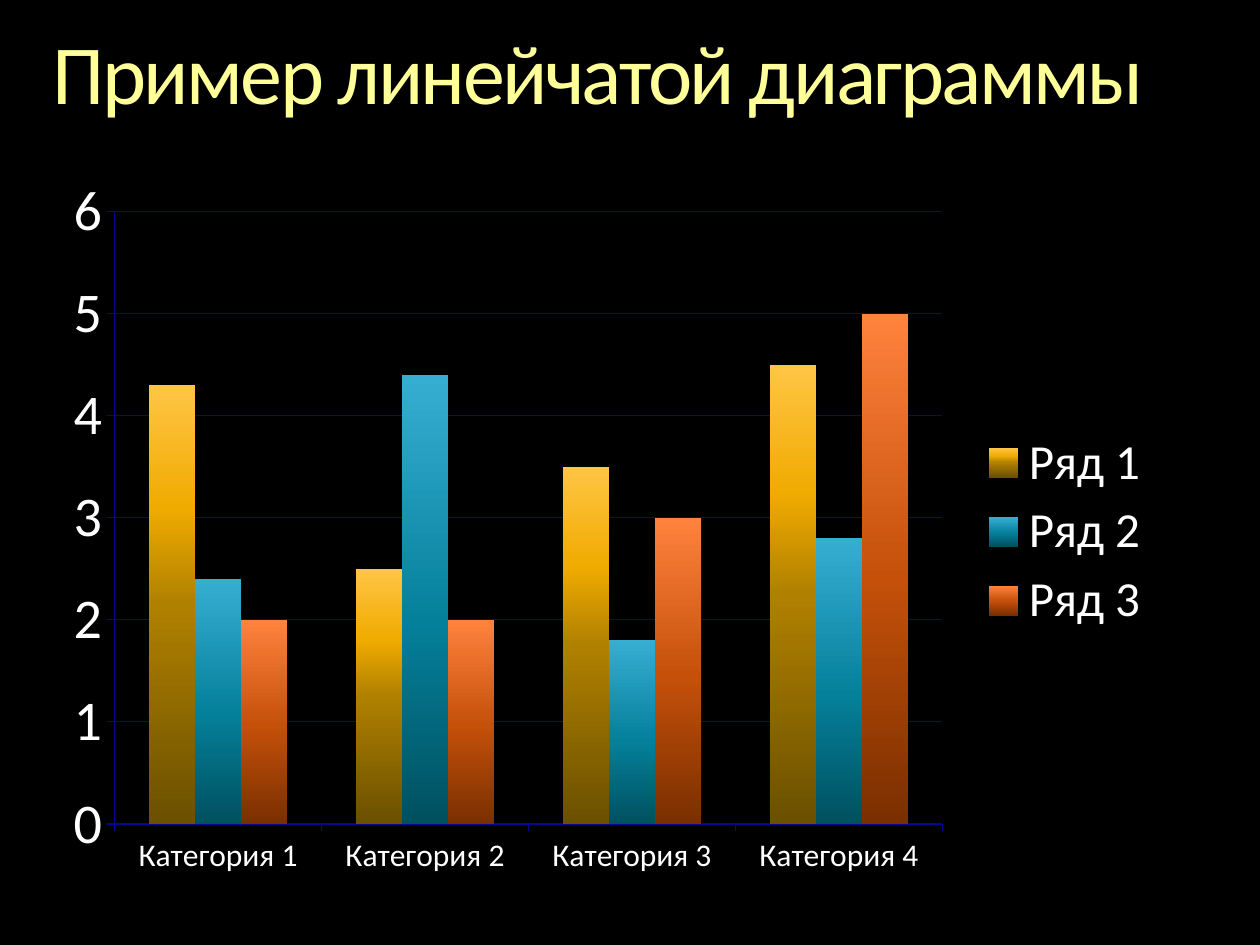
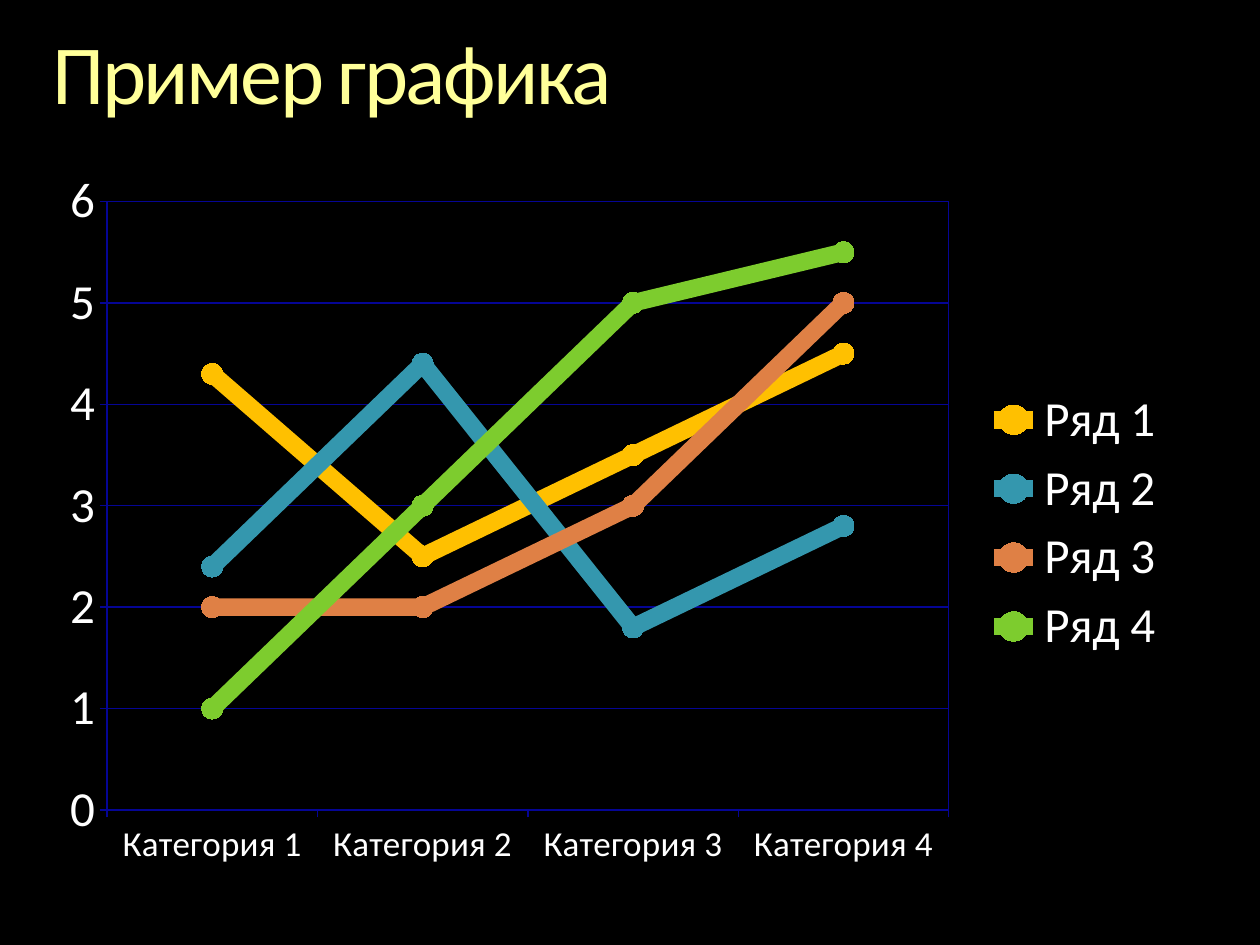
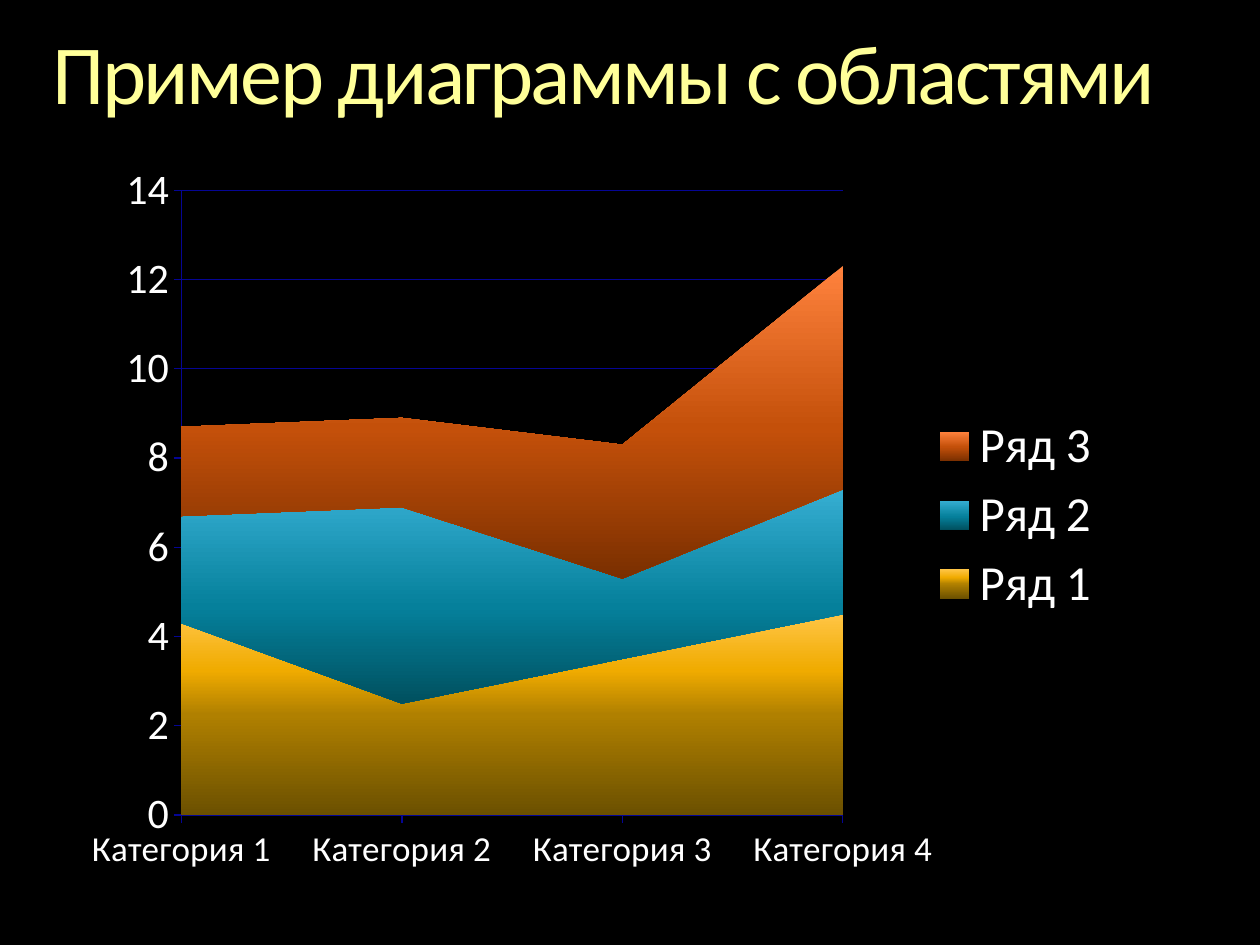
from copy import deepcopy
from dataclasses import dataclass

from pptx import Presentation
from pptx.chart.data import CategoryChartData
from pptx.dml.color import RGBColor
from pptx.enum.chart import XL_CHART_TYPE, XL_LEGEND_POSITION, XL_MARKER_STYLE, XL_TICK_MARK
from pptx.enum.text import MSO_ANCHOR, PP_ALIGN
from pptx.oxml import parse_xml
from pptx.oxml.ns import nsdecls, qn
from pptx.util import Inches, Pt

COLUMNS = XL_CHART_TYPE.COLUMN_CLUSTERED
LINES = XL_CHART_TYPE.LINE_MARKERS
AREAS = XL_CHART_TYPE.AREA_STACKED
LEGEND_RIGHT = XL_LEGEND_POSITION.RIGHT
CIRCLE = XL_MARKER_STYLE.CIRCLE
TICK_OUTSIDE = XL_TICK_MARK.OUTSIDE
TICK_NONE = XL_TICK_MARK.NONE
TITLE_ONLY = 5


@dataclass(frozen=True)
class Theme:
    """Colours, font and type sizes shared by the slides."""
    font: str = "Calibri"
    background: str = "000000"
    title: str = "FFFF99"
    text: str = "FFFFFF"
    grid: str = "050595"
    series: tuple = ("FFC000", "3497AE", "DF8045", "7DCC2E")
    gradients: tuple = (
        ((0, "FFC545"), (0.28, "F0AB00"), (0.5, "B08000"), (1, "6B5000")),
        ((0, "36AED2"), (0.55, "05809B"), (1, "00505F")),
        ((0, "FF823D"), (0.52, "C4500A"), (1, "7A2F00")),
    )
    title_size: int = 48
    base_size: int = 18
    legend_size: int = 28
    grid_width: float = 0.75
    line_width: int = 10
    marker_size: int = 12


@dataclass(frozen=True)
class ChartSpot:
    """Slide positions in inches of a chart, its plot and its legend."""
    frame: tuple
    plot: tuple
    legend: tuple


THEME = Theme()
TITLE_BOX = (0.42, 0.25, 9.17, 0.73)
CATEGORIES = [f"Категория {number}" for number in range(1, 5)]
ROWS = [(4.3, 2.5, 3.5, 4.5), (2.4, 4.4, 1.8, 2.8), (2, 2, 3, 5), (1, 3, 5, 5.5)]


def color(value):
    """Turn a hex string into a colour."""
    return RGBColor.from_string(value)


def style_master(presentation):
    """Set the background and the title box for every slide."""
    fill = presentation.slide_master.background.fill
    fill.solid()
    fill.fore_color.rgb = color(THEME.background)
    title = presentation.slide_layouts[TITLE_ONLY].placeholders[0]
    title.left, title.top, title.width, title.height = map(Inches, TITLE_BOX)


def add_titled_slide(presentation, text):
    """Add a slide whose title placeholder holds the text."""
    slide = presentation.slides.add_slide(presentation.slide_layouts[TITLE_ONLY])
    frame = slide.shapes.title.text_frame
    frame.margin_left = frame.margin_right = frame.margin_top = frame.margin_bottom = 0
    frame.vertical_anchor = MSO_ANCHOR.TOP
    frame.word_wrap = True
    paragraph = frame.paragraphs[0]
    paragraph.alignment = PP_ALIGN.LEFT
    paragraph.line_spacing = 0.9
    run = paragraph.add_run()
    run.text = text
    run.font.name = THEME.font
    run.font.size = Pt(THEME.title_size)
    run.font.color.rgb = color(THEME.title)
    run._r.get_or_add_rPr().set("spc", "-150")
    return slide


def place(element, index, frame, box, target=""):
    """Fix a chart part at a slide position, as shares of the chart frame."""
    for layout in element.findall(qn("c:layout")):
        element.remove(layout)
    left, top, width, height = frame
    shares = [(box[0] - left) / width, (box[1] - top) / height]
    shares += [length / whole for length, whole in zip(box[2:], (width, height))]
    modes = '<c:xMode val="edge"/><c:yMode val="edge"/>'
    sizes = "".join(f'<c:{key} val="{share:.4f}"/>' for key, share in zip("xywh", shares))
    element.insert(index, parse_xml(
        f'<c:layout {nsdecls("c")}><c:manualLayout>{target}{modes}{sizes}'
        "</c:manualLayout></c:layout>"))


def style_line(line, value, width):
    """Give a line a colour and a width."""
    line.color.rgb = color(value)
    line.width = Pt(width)


def style_axis(axis, size):
    """Format an axis line, its ticks and its labels."""
    axis.major_tick_mark = TICK_OUTSIDE
    axis.minor_tick_mark = TICK_NONE
    axis.tick_labels.font.size = Pt(size)
    style_line(axis.format.line, THEME.grid, THEME.grid_width)


def fill_gradient(series, stops):
    """Fill a series from top to bottom through the given stops."""
    fill = series.format.fill
    fill.gradient()
    fill.gradient_angle = 270
    stop_list = next(series._element.iter(qn("a:gsLst")))
    for _ in stops[2:]:
        stop_list.insert(1, deepcopy(stop_list[0]))
    for stop, (position, value) in zip(fill.gradient_stops, stops):
        stop.position = position
        stop.color.rgb = color(value)


def style_line_series(series, value):
    """Draw a straight thick line with round markers."""
    series.smooth = False
    style_line(series.format.line, value, THEME.line_width)
    marker = series.marker
    marker.style = CIRCLE
    marker.size = THEME.marker_size
    marker.format.fill.solid()
    marker.format.fill.fore_color.rgb = color(value)
    marker.format.line.color.rgb = color(value)


def frame_plot(chart):
    """Draw a thin border round the plot area."""
    width = int(Pt(THEME.grid_width))
    chart._chartSpace.chart.plotArea.append(parse_xml(
        f'<c:spPr {nsdecls("c", "a")}><a:noFill/><a:ln w="{width}"><a:solidFill>'
        f'<a:srgbClr val="{THEME.grid}"/></a:solidFill></a:ln></c:spPr>'))


def add_sample_chart(slide, kind, rows, spot, sizes, scale):
    """Add a chart; sizes are category and value labels, scale is top and step."""
    data = CategoryChartData()
    data.categories = CATEGORIES
    for number, row in enumerate(rows, 1):
        data.add_series(f"Ряд {number}", row)
    chart = slide.shapes.add_chart(kind, *map(Inches, spot.frame), data).chart
    chart.has_title = False
    chart.font.name = THEME.font
    chart.font.size = Pt(THEME.base_size)
    chart.font.color.rgb = color(THEME.text)

    style_axis(chart.category_axis, sizes[0])
    chart.category_axis.has_major_gridlines = False
    axis = chart.value_axis
    style_axis(axis, sizes[1])
    axis.minimum_scale = 0
    axis.maximum_scale, axis.major_unit = scale
    axis.has_major_gridlines = True
    style_line(axis.major_gridlines.format.line, THEME.grid, THEME.grid_width)

    chart.has_legend = True
    legend = chart.legend
    legend.position = LEGEND_RIGHT
    legend.include_in_layout = False
    legend.font.size = Pt(THEME.legend_size)
    legend.font.color.rgb = color(THEME.text)
    place(legend._element, 1, spot.frame, spot.legend)
    place(chart._chartSpace.chart.plotArea, 0, spot.frame, spot.plot,
          '<c:layoutTarget val="inner"/>')

    plot = chart.plots[0]
    plot.vary_by_categories = False
    for index, series in enumerate(plot.series):
        if kind == LINES:
            style_line_series(series, THEME.series[index])
        else:
            fill_gradient(series, THEME.gradients[index])
    return chart


def add_column_slide(presentation):
    """Build the clustered column slide."""
    slide = add_titled_slide(presentation, "Пример линейчатой диаграммы")
    spot = ChartSpot((0.42, 1.29, 8.78, 5.76), (0.91, 1.68, 6.57, 4.86), (7.72, 3.36))
    chart = add_sample_chart(slide, COLUMNS, ROWS[:3], spot, (18, 32), (6, 1))
    chart.plots[0].gap_width = 150
    chart.plots[0].overlap = 0


def add_line_slide(presentation):
    """Build the line slide."""
    slide = add_titled_slide(presentation, "Пример графика")
    spot = ChartSpot((0.38, 1.26, 8.95, 5.73), (0.85, 1.6, 6.68, 4.83), (7.76, 3.02))
    frame_plot(add_sample_chart(slide, LINES, ROWS, spot, (20, 28), (6, 1)))


def add_area_slide(presentation):
    """Build the stacked area slide, with areas starting on the value axis."""
    slide = add_titled_slide(presentation, "Пример диаграммы с областями")
    spot = ChartSpot((0.56, 1.19, 8.56, 5.84), (1.44, 1.51, 5.25, 4.96), (7.33, 3.23))
    chart = add_sample_chart(slide, AREAS, ROWS[:3], spot, (20, 24), (14, 2))
    for crossing in chart.value_axis._element.findall(qn("c:crossBetween")):
        crossing.set("val", "midCat")


def main():
    """Build and save the presentation."""
    presentation = Presentation()
    presentation.slide_width, presentation.slide_height = Inches(10), Inches(7.5)
    style_master(presentation)
    add_column_slide(presentation)
    add_line_slide(presentation)
    add_area_slide(presentation)
    presentation.save("out.pptx")


if __name__ == "__main__":
    main()
